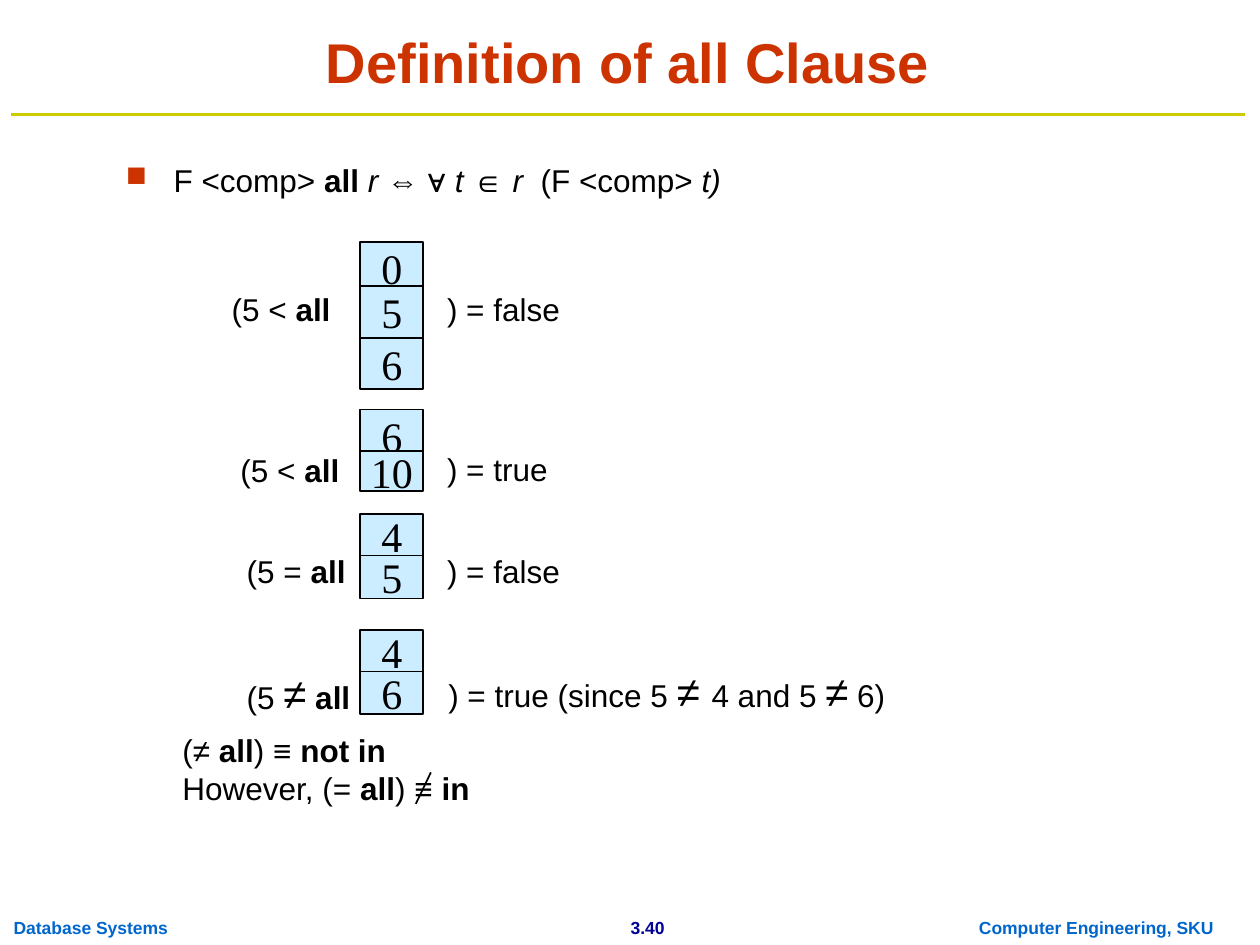
from dataclasses import dataclass
from typing import NamedTuple

from lxml.etree import SubElement
from pptx import Presentation
from pptx.dml.color import RGBColor
from pptx.enum.shapes import MSO_CONNECTOR as Connector, MSO_SHAPE as Shape
from pptx.enum.text import MSO_ANCHOR as Anchor, PP_ALIGN as Align
from pptx.oxml.ns import qn
from pptx.util import Inches, Pt

COLORS = {
    "title": "CC3300", "rule": "CCCC00", "text": "000000",
    "cell": "CCECFF", "page": "000099", "footer": "0066CC",
}


class Run(NamedTuple):
    text: str
    bold: bool = False
    italic: bool = False
    size: float | None = None


class Cell(NamedTuple):
    value: str
    top: float
    height: float


class Footer(NamedTuple):
    text: str
    left: float
    width: float
    color: str
    align: Align


@dataclass
class Example:
    """One comparison against a column of values."""
    left: float
    top: float
    condition: list[Run]
    cells: list[Cell]
    result_left: float
    result_top: float
    result: list[Run]
    condition_width: float = 1.33
    result_width: float = 1.33
    height: float = 0.4


ALL = Run("all", bold=True)
NOT_EQUAL = Run("≠", size=24)
EXAMPLES = [
    Example(1.74, 2.25, [Run("(5 < "), ALL],
            [Cell("0", 1.92, 0.41), Cell("5", 2.27, 0.41), Cell("6", 2.68, 0.41)],
            3.45, 2.25, [Run(") = false")]),
    Example(1.81, 3.53, [Run("(5 < "), ALL],
            [Cell("6", 3.25, 0.42), Cell("10", 3.58, 0.32)],
            3.45, 3.52, [Run(") = true")]),
    Example(1.86, 4.33, [Run("(5 = "), ALL],
            [Cell("4", 4.08, 0.34), Cell("5", 4.41, 0.34)],
            3.45, 4.33, [Run(") = false")]),
    Example(1.86, 5.25, [Run("(5 "), NOT_EQUAL, Run(" "), ALL],
            [Cell("4", 5, 0.34), Cell("6", 5.33, 0.34)],
            3.46, 5.23,
            [Run(") = true (since 5 "), Run("≠ ", size=24), Run("4 and 5 "),
             NOT_EQUAL, Run(" 6)")],
            condition_width=1.83, result_width=5, height=0.5),
]
DEFINITION = [
    Run("F <comp> "), Run("all ", bold=True), Run("r ", italic=True), Run("⇔ ∀ "),
    Run("t ", italic=True), Run("∈ "), Run("r ", italic=True),
    Run(" (F <comp> "), Run("t)", italic=True),
]
EQUIVALENCES = [
    [Run("(≠ "), ALL, Run(") ≡ "), Run("not in", bold=True)],
    [Run("However, (= "), ALL, Run(") ≡ "), Run("in", bold=True)],
]
FOOTERS = [
    Footer("3.40", 4.65, 0.98, "page", Align.CENTER),
    Footer("Database Systems", 0.01, 1.42, "footer", Align.LEFT),
    Footer("Computer Engineering, SKU", 7.67, 2.06, "footer", Align.CENTER),
]


def rgb(name: str) -> RGBColor:
    """Look up a named colour."""
    return RGBColor.from_string(COLORS[name])


def add_bullet(paragraph) -> None:
    """Give a paragraph a hanging square bullet."""
    properties = paragraph._p.get_or_add_pPr()
    properties.set("marL", str(Inches(0.38)))
    properties.set("indent", str(Inches(-0.38)))
    color = SubElement(properties, qn("a:buClr"))
    SubElement(color, qn("a:srgbClr"), val=COLORS["title"])
    SubElement(properties, qn("a:buSzPct"), val="90000")
    SubElement(properties, qn("a:buChar"), char="■")


def write(frame, paragraphs: list[list[Run]], *, size: float = 18, font: str = "Arial",
          color: str = "text", align: Align = Align.LEFT, anchor: Anchor = Anchor.TOP,
          wrap: bool = True, bullet: bool = False) -> None:
    """Fill a text frame with formatted paragraphs."""
    frame.word_wrap = wrap
    frame.vertical_anchor = anchor
    for index, runs in enumerate(paragraphs):
        paragraph = frame.add_paragraph() if index else frame.paragraphs[0]
        paragraph.alignment = align
        if bullet:
            add_bullet(paragraph)
        for part in runs:
            run = paragraph.add_run()
            run.text = part.text
            run.font.name = font
            run.font.size = Pt(part.size or size)
            run.font.bold = part.bold
            run.font.italic = part.italic
            run.font.color.rgb = rgb(color)


def add_text(slide, left: float, top: float, width: float, height: float,
             paragraphs: list[list[Run]], **style) -> None:
    """Add a text box."""
    box = slide.shapes.add_textbox(Inches(left), Inches(top), Inches(width), Inches(height))
    write(box.text_frame, paragraphs, **style)


def add_line(slide, start: tuple[float, float], end: tuple[float, float],
             color: str, weight: float) -> None:
    """Add a straight line without shadow."""
    line = slide.shapes.add_connector(Connector.STRAIGHT, *map(Inches, start + end))
    line.line.color.rgb = rgb(color)
    line.line.width = Pt(weight)
    SubElement(line._element.spPr, qn("a:effectLst"))


def add_cell(slide, cell: Cell) -> None:
    """Add one boxed value."""
    box = slide.shapes.add_shape(Shape.RECTANGLE, Inches(2.86), Inches(cell.top),
                                 Inches(0.5), Inches(cell.height))
    box.shadow.inherit = False
    box.fill.solid()
    box.fill.fore_color.rgb = rgb("cell")
    box.line.color.rgb = rgb("text")
    box.line.width = Pt(1)
    write(box.text_frame, [[Run(cell.value)]], size=24, font="Times New Roman",
          align=Align.CENTER, anchor=Anchor.MIDDLE, wrap=False)


def add_example(slide, example: Example) -> None:
    """Add a condition, its column of values and its result."""
    for cell in example.cells:
        add_cell(slide, cell)
    add_text(slide, example.left, example.top, example.condition_width, example.height,
             [example.condition])
    add_text(slide, example.result_left, example.result_top, example.result_width,
             example.height, [example.result])


def main() -> None:
    """Build and save the slide."""
    deck = Presentation()
    deck.slide_width, deck.slide_height = Inches(10), Inches(7.5)
    slide = deck.slides.add_slide(deck.slide_layouts[6])
    for footer in FOOTERS:
        add_text(slide, footer.left, 7.23, footer.width, 0.27, [[Run(footer.text, bold=True)]],
                 size=10, color=footer.color, align=footer.align, wrap=False)
    add_line(slide, (0.09, 0.91), (9.88, 0.91), "rule", 2)
    add_text(slide, 0.09, 0.13, 9.79, 0.67, [[Run("Definition of all Clause", bold=True)]],
             size=32, color="title", align=Align.CENTER, anchor=Anchor.BOTTOM)
    add_text(slide, 0.9, 1.23, 7.26, 0.42, [DEFINITION], bullet=True)
    for example in EXAMPLES:
        add_example(slide, example)
    add_text(slide, 1.35, 5.75, 7.44, 0.78, EQUIVALENCES)
    add_line(slide, (3.42, 6.13), (3.3, 6.38), "text", 1)
    deck.save("out.pptx")


if __name__ == "__main__":
    main()
